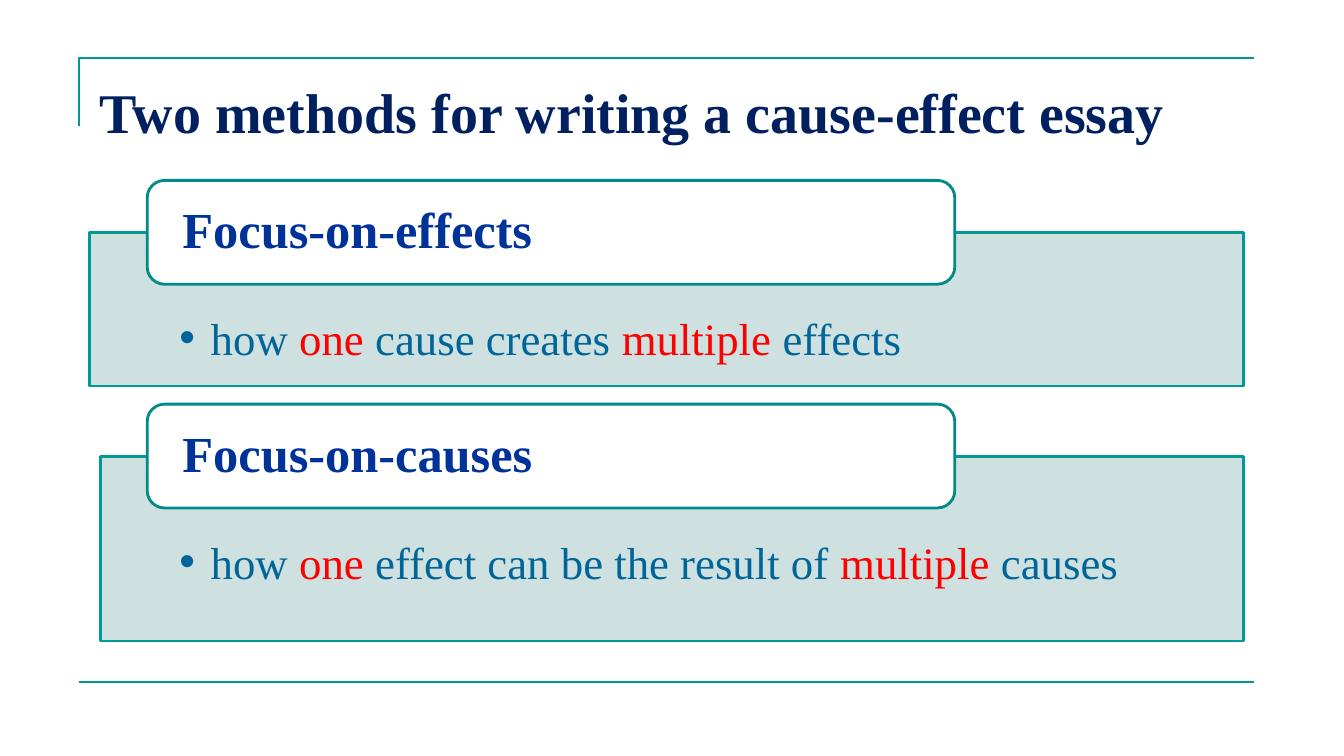
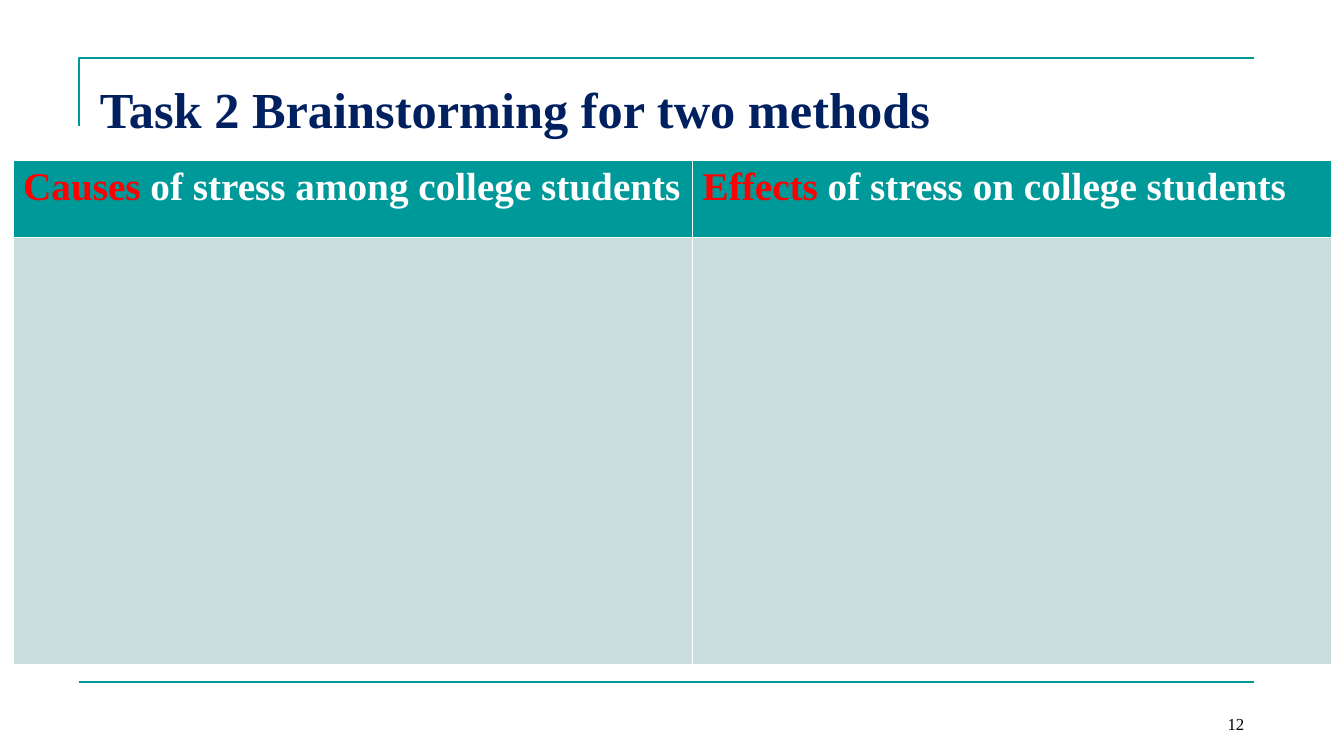
from lxml import etree
from pptx import Presentation
from pptx.dml.color import RGBColor
from pptx.enum.shapes import MSO_CONNECTOR, MSO_SHAPE
from pptx.enum.text import MSO_ANCHOR, MSO_AUTO_SIZE, PP_ALIGN
from pptx.oxml.ns import qn
from pptx.util import Inches, Pt

LINE = MSO_CONNECTOR.STRAIGHT
RECT, ROUND = MSO_SHAPE.RECTANGLE, MSO_SHAPE.ROUNDED_RECTANGLE
TOP, MIDDLE, BOTTOM = MSO_ANCHOR.TOP, MSO_ANCHOR.MIDDLE, MSO_ANCHOR.BOTTOM
LEFT, RIGHT = PP_ALIGN.LEFT, PP_ALIGN.RIGHT
FIXED = MSO_AUTO_SIZE.NONE

FONT = "Times New Roman"
TEAL, EDGE, RIM = "009999", "009996", "008A88"
PALE, CELL, WHITE, BLACK = "C9DDDD", "CADDDD", "FFFFFF", "000000"
NAVY, BLUE, STEEL, RED = "002060", "003399", "006699", "FF0000"

# Content
TITLES = [
    ("Two methods for writing a cause-effect essay", 40),
    ("Task 2 Brainstorming for two methods", 36),
]
# Heading, list item, panel left, panel top, panel height
PANELS = [
    ("Focus-on-effects",
     [("how ", STEEL), ("one", RED), (" cause creates ", STEEL),
      ("multiple", RED), (" effects", STEEL)], 0.89, 2.31, 1.52),
    ("Focus-on-causes",
     [("how ", STEEL), ("one", RED), (" effect can be the result of ", STEEL),
      ("multiple", RED), (" causes", STEEL)], 1.0, 4.53, 1.83),
]
HEADS = [
    [("Causes", RED), (" of stress among college students", WHITE)],
    [("Effects", RED), (" of stress on college students", WHITE)],
]
WIDTHS, HEIGHTS = [6.74, 6.34], [0.77, 4.23]
PAGE = "12"


def rgb(code):
    return RGBColor.from_string(code)


def box(left, top, width, height):
    return [Inches(v) for v in (left, top, width, height)]


def add_runs(para, runs, size, bold=False, align=LEFT):
    para.alignment = align
    for text, color in runs:
        run = para.add_run()
        run.text = text
        font = run.font
        font.name, font.size, font.bold = FONT, Pt(size), bold
        font.color.rgb = rgb(color)


def set_frame(frame, anchor, left=0.1, top=0.05, right=0.1, bottom=0.05):
    frame.word_wrap = True
    frame.auto_size = FIXED
    frame.vertical_anchor = anchor
    frame.margin_left, frame.margin_top = Inches(left), Inches(top)
    frame.margin_right, frame.margin_bottom = Inches(right), Inches(bottom)


def add_block(slide, kind, place, fill, line):
    block = slide.shapes.add_shape(kind, *box(*place))
    block.shadow.inherit = False
    block.fill.solid()
    block.fill.fore_color.rgb = rgb(fill)
    block.line.color.rgb = rgb(line)
    block.line.width = Pt(2)
    return block


def set_alpha(shape, percent):
    color = shape.element.spPr.find(qn("a:solidFill")).find(qn("a:srgbClr"))
    etree.SubElement(color, qn("a:alpha")).set("val", str(percent * 1000))


def add_bullet(para, color, indent=0.31):
    props = para._p.get_or_add_pPr()
    props.set("marL", str(Inches(indent)))
    props.set("indent", str(-Inches(indent)))
    tint = etree.SubElement(props, qn("a:buClr"))
    etree.SubElement(tint, qn("a:srgbClr")).set("val", color)
    etree.SubElement(props, qn("a:buFont")).set("typeface", "Arial")
    etree.SubElement(props, qn("a:buChar")).set("char", "•")


def set_layout(layout, slide):
    """Draw the shared rules and move them into the layout."""
    title = layout.placeholders[0]
    title.left, title.top, title.width, title.height = box(0.89, 0.67, 11.44, 0.97)

    pen = slide.shapes.build_freeform(Inches(0.78), Inches(1.25))
    pen.add_line_segments([(Inches(0.78), Inches(0.58)),
                           (Inches(12.44), Inches(0.58))], close=False)
    corner = pen.convert_to_shape()
    corner.shadow.inherit = False
    corner.fill.background()
    foot = slide.shapes.add_connector(LINE, *box(0.78, 6.77, 12.44, 6.77))
    etree.SubElement(foot.element.spPr, qn("a:effectLst"))
    for rule in (corner, foot):
        rule.line.color.rgb = rgb(TEAL)
        rule.line.width = Pt(1.5)
        layout.shapes.element.append(rule.element)


def set_title(slide, text, size):
    frame = slide.shapes.title.text_frame
    set_frame(frame, TOP, top=0.1)
    add_runs(frame.paragraphs[0], [(text, NAVY)], size, True)


def add_panel(slide, head, item, left, top, height):
    panel = add_block(slide, RECT, (left, top, 12.33 - left, height), PALE, EDGE)
    set_alpha(panel, 90)
    set_frame(panel.text_frame, TOP, 1.78 - left, 0.77, 0.89, 0.25)
    para = panel.text_frame.paragraphs[0]
    add_runs(para, item, 32)
    add_bullet(para, STEEL)

    label = add_block(slide, ROUND, (1.46, top - 0.52, 8.01, 1.03), WHITE, RIM)
    set_frame(label.text_frame, MIDDLE, 0.3, 0, 0.3, 0)
    para = label.text_frame.paragraphs[0]
    para.line_spacing = 0.9
    add_runs(para, [(head, BLUE)], 36, True)


def add_grid(slide):
    place = box(0.13, 1.59, sum(WIDTHS), sum(HEIGHTS))
    table = slide.shapes.add_table(2, 2, *place).table
    for row, height in zip(table.rows, HEIGHTS):
        row.height = Inches(height)
    for col, width in enumerate(WIDTHS):
        table.columns[col].width = Inches(width)
        for row, fill in enumerate((TEAL, CELL)):
            cell = table.cell(row, col)
            cell.fill.solid()
            cell.fill.fore_color.rgb = rgb(fill)
        add_runs(table.cell(0, col).text_frame.paragraphs[0], HEADS[col], 28, True)


def add_page(slide):
    frame = slide.shapes.add_textbox(*box(9.33, 6.83, 3.11, 0.5)).text_frame
    set_frame(frame, BOTTOM)
    add_runs(frame.paragraphs[0], [(PAGE, BLACK)], 12, align=RIGHT)


def main():
    prs = Presentation()
    prs.slide_width, prs.slide_height = Inches(13.33), Inches(7.5)
    layout = prs.slide_layouts[5]
    methods, task = [prs.slides.add_slide(layout) for _ in TITLES]
    set_layout(layout, methods)
    for slide, title in zip((methods, task), TITLES):
        set_title(slide, *title)

    # Methods
    for panel in PANELS:
        add_panel(methods, *panel)

    # Brainstorming task
    add_page(task)
    add_grid(task)
    prs.save("out.pptx")


if __name__ == "__main__":
    main()
